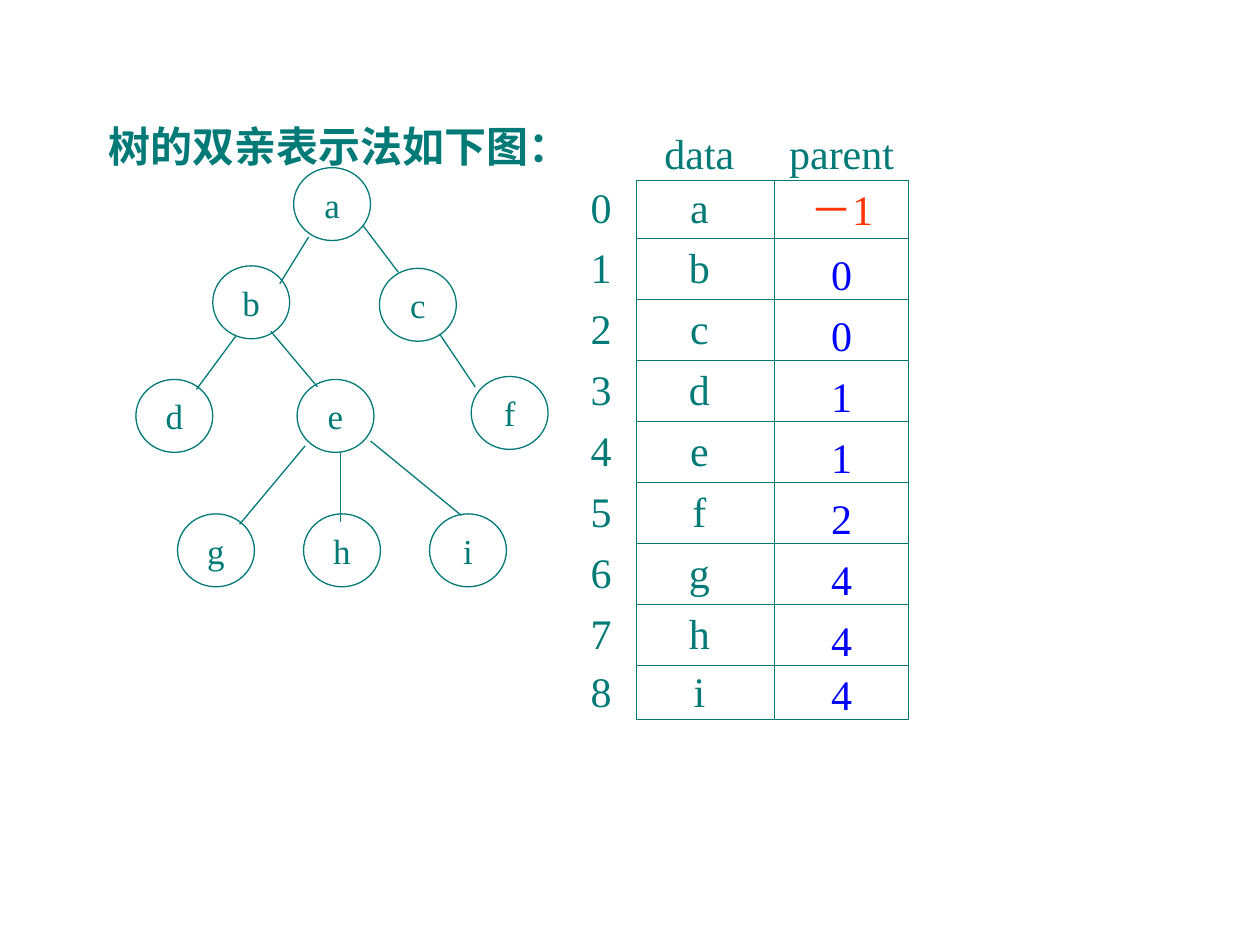
from lxml.etree import SubElement
from pptx import Presentation
from pptx.dml.color import RGBColor
from pptx.enum.shapes import MSO_CONNECTOR, MSO_SHAPE
from pptx.enum.text import MSO_ANCHOR, MSO_AUTO_SIZE, PP_ALIGN
from pptx.oxml.ns import qn
from pptx.util import Cm, Pt

COLORS = {"teal": "007A77", "blue": "0000FF", "red": "FF3300"}
FONT = "Times New Roman"
LINE_WIDTH = Pt(0.75)

TITLE = "树的双亲表示法如下图："

# Tree: top left corner of each node, and both ends of each branch, in cm
NODE_SIZE = (1.55, 1.47)
NODES = {
    "a": (5.92, 3.38),
    "b": (4.29, 5.36), "c": (7.65, 5.41),
    "d": (2.74, 7.65), "e": (5.99, 7.65), "f": (9.5, 7.59),
    "g": (3.58, 10.36), "h": (6.12, 10.36), "i": (8.66, 10.36),
}
BRANCHES = {
    "ab": (6.22, 4.78, 5.64, 5.72),
    "ac": (7.32, 4.55, 8.03, 5.49),
    "bd": (4.75, 6.78, 3.96, 7.85),
    "be": (5.46, 6.68, 6.4, 7.8),
    "cf": (8.86, 6.73, 9.58, 7.8),
    "eg": (6.15, 8.99, 4.83, 10.57),
    "eh": (6.86, 9.12, 6.86, 10.52),
    "ei": (7.47, 8.89, 9.3, 10.39),
}

# Parent table: index, data, parent
HEADER = ("", "data", "parent")
PARENTS = [("a", "－1"), ("b", "0"), ("c", "0"), ("d", "1"), ("e", "1"),
           ("f", "2"), ("g", "4"), ("h", "4"), ("i", "4")]
TABLE_LEFT, TABLE_TOP = 11.4, 2.6
COLUMN_WIDTHS = (1.43, 2.79, 2.69)
ROW_HEIGHTS = (1.03, 1.17, *[1.23] * 7, 1.1)


def rgb(name):
    return RGBColor.from_string(COLORS[name])


def format_text(text_frame, size, color="teal", bold=False):
    paragraph = text_frame.paragraphs[0]
    paragraph.alignment = PP_ALIGN.CENTER
    for run in paragraph.runs:
        run.font.name = FONT
        run.font.size = Pt(size)
        run.font.bold = bold
        run.font.color.rgb = rgb(color)


def add_node(slide, label, left, top):
    width, height = NODE_SIZE
    node = slide.shapes.add_shape(MSO_SHAPE.OVAL, Cm(left), Cm(top), Cm(width), Cm(height))
    node.shadow.inherit = False
    node.fill.background()
    node.line.color.rgb = rgb("teal")
    node.line.width = LINE_WIDTH
    node.text_frame.text = label
    node.text_frame.word_wrap = False
    node.text_frame.vertical_anchor = MSO_ANCHOR.MIDDLE
    format_text(node.text_frame, 20)


def add_branch(slide, ends):
    branch = slide.shapes.add_connector(MSO_CONNECTOR.STRAIGHT, *[Cm(value) for value in ends])
    branch.line.color.rgb = rgb("teal")
    branch.line.width = LINE_WIDTH
    SubElement(branch._element.spPr, qn("a:effectLst"))


def set_borders(cell, visible):
    properties = cell._tc.get_or_add_tcPr()
    for side, shown in visible.items():
        border = SubElement(properties, qn(f"a:ln{side}"), w=str(LINE_WIDTH))
        if shown:
            fill = SubElement(border, qn("a:solidFill"))
            SubElement(fill, qn("a:srgbClr"), val=COLORS["teal"])
        else:
            SubElement(border, qn("a:noFill"))


def add_parent_table(slide):
    rows = [HEADER] + [(str(index), *entry) for index, entry in enumerate(PARENTS)]
    table = slide.shapes.add_table(
        len(rows), len(HEADER), Cm(TABLE_LEFT), Cm(TABLE_TOP),
        Cm(sum(COLUMN_WIDTHS)), Cm(sum(ROW_HEIGHTS))).table
    table.first_row = table.horz_banding = False
    for column, width in zip(table.columns, COLUMN_WIDTHS):
        column.width = Cm(width)
    for row, height in zip(table.rows, ROW_HEIGHTS):
        row.height = Cm(height)

    for r, values in enumerate(rows):
        for c, value in enumerate(values):
            cell = table.cell(r, c)
            is_parent = r > 0 and c == 2
            cell.margin_left = cell.margin_top = cell.margin_bottom = 0
            cell.margin_right = Cm(0.25) if c == 1 else 0
            cell.vertical_anchor = MSO_ANCHOR.BOTTOM if is_parent else MSO_ANCHOR.MIDDLE
            cell.text_frame.text = value
            cell.text_frame.paragraphs[0].line_spacing = Pt(27)
            color = "teal"
            if is_parent:
                color = "red" if value == "－1" else "blue"
            format_text(cell.text_frame, 24, color)
            # Only the data and parent cells below the header are framed
            framed = r > 0 and c > 0
            set_borders(cell, {"L": framed, "R": r > 0, "T": framed, "B": c > 0})
            cell.fill.background()


def main():
    presentation = Presentation()
    presentation.slide_width, presentation.slide_height = Cm(25.4), Cm(19.05)
    slide = presentation.slides.add_slide(presentation.slide_layouts[5])

    # Title
    title = slide.shapes.title
    title.left, title.top, title.width, title.height = Cm(1.52), Cm(2.31), Cm(9.8), Cm(1.27)
    title.text_frame.text = TITLE
    title.text_frame.word_wrap = False
    title.text_frame.auto_size = MSO_AUTO_SIZE.NONE
    title.text_frame.vertical_anchor = MSO_ANCHOR.TOP
    format_text(title.text_frame, 24, bold=True)

    # Tree
    for label, (left, top) in NODES.items():
        add_node(slide, label, left, top)
    for ends in BRANCHES.values():
        add_branch(slide, ends)

    # Parent table
    add_parent_table(slide)
    presentation.save("out.pptx")


if __name__ == "__main__":
    main()
